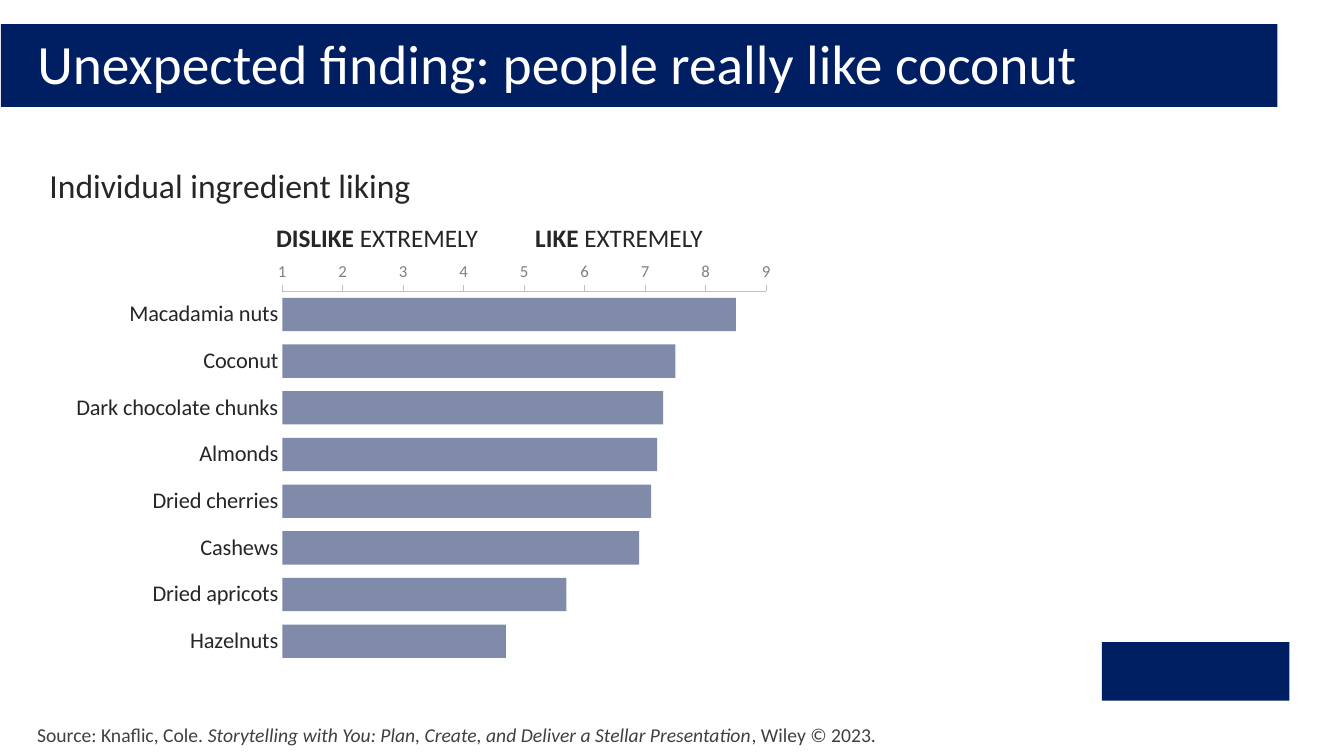
from dataclasses import dataclass

from lxml.etree import SubElement
from pptx import Presentation
from pptx.chart.chart import Chart
from pptx.chart.data import CategoryChartData
from pptx.dml.color import RGBColor
from pptx.enum.chart import XL_CHART_TYPE, XL_TICK_MARK
from pptx.enum.shapes import MSO_SHAPE
from pptx.enum.text import MSO_ANCHOR, MSO_AUTO_SIZE, PP_ALIGN
from pptx.oxml import parse_xml
from pptx.oxml.ns import nsdecls, qn
from pptx.shapes.autoshape import Shape
from pptx.slide import Slide
from pptx.text.text import Font
from pptx.util import Inches, Pt

NAVY = RGBColor(0x00, 0x1E, 0x62)
BAR_NAVY = RGBColor(0x00, 0x18, 0x55)
WHITE = RGBColor(0xFF, 0xFF, 0xFF)
INK = RGBColor(0x26, 0x26, 0x26)
SOURCE_GRAY = RGBColor(0x40, 0x40, 0x40)
SCALE_GRAY = RGBColor(0x80, 0x80, 0x80)
AXIS_GRAY = RGBColor(0xBF, 0xBF, 0xBF)

LIKING_SCORES = {
    "Macadamia nuts": 8.5,
    "Coconut": 7.5,
    "Dark chocolate chunks": 7.3,
    "Almonds": 7.2,
    "Dried cherries": 7.1,
    "Cashews": 6.9,
    "Dried apricots": 5.7,
    "Hazelnuts": 4.7,
}


@dataclass(frozen=True)
class Box:
    left: float
    top: float
    width: float
    height: float

    def lengths(self) -> tuple[Inches, ...]:
        return tuple(map(Inches, (self.left, self.top, self.width, self.height)))


@dataclass(frozen=True)
class TextStyle:
    size: float
    color: RGBColor


@dataclass(frozen=True)
class TextRun:
    text: str
    bold: bool = False
    italic: bool = False


@dataclass(frozen=True)
class Label:
    box: Box
    runs: tuple[TextRun, ...]
    style: TextStyle
    tab_stop: float | None = None


LABELS = (
    Label(
        Box(0.27, 7.12, 12.84, 0.34),
        (
            TextRun("Source: Knaflic, Cole. "),
            TextRun(
                "Storytelling with You: Plan, Create, and Deliver a Stellar Presentation",
                italic=True,
            ),
            TextRun(", Wiley © 2023."),
        ),
        TextStyle(14, SOURCE_GRAY),
    ),
    Label(
        Box(2.64, 2.16, 5.46, 0.4),
        (
            TextRun("DISLIKE", bold=True),
            TextRun(" EXTREMELY\t"),
            TextRun("LIKE", bold=True),
            TextRun(" EXTREMELY"),
        ),
        TextStyle(18, INK),
        tab_stop=2.57,
    ),
)


def format_font(font: Font, style: TextStyle, bold: bool = False, italic: bool = False) -> None:
    values = {"size": Pt(style.size), "name": "Calibri", "bold": bold, "italic": italic}
    for attribute, value in values.items():
        setattr(font, attribute, value)
    font.color.rgb = style.color


def add_block(slide: Slide, box: Box) -> Shape:
    block = slide.shapes.add_shape(MSO_SHAPE.RECTANGLE, *box.lengths())
    block.shadow.inherit = False
    block.fill.solid()
    block.fill.fore_color.rgb = NAVY
    block.line.fill.background()
    return block


def add_title(slide: Slide) -> None:
    title = slide.shapes.title
    title.left, title.top, title.width, title.height = Box(0.27, 0.33, 12.27, 0.66).lengths()
    frame = title.text_frame
    frame.text = "Unexpected finding: people really like coconut"
    frame.auto_size = MSO_AUTO_SIZE.NONE
    frame.vertical_anchor = MSO_ANCHOR.MIDDLE
    paragraph = frame.paragraphs[0]
    paragraph.alignment = PP_ALIGN.LEFT
    paragraph.line_spacing = 0.9
    format_font(paragraph.runs[0].font, TextStyle(39.6, WHITE))

    # Band behind the title
    band = add_block(slide, Box(0.01, 0.24, 12.66, 0.82))
    title.element.addprevious(band.element)


def add_label(slide: Slide, label: Label) -> None:
    text_box = slide.shapes.add_textbox(*label.box.lengths())
    frame = text_box.text_frame
    frame.word_wrap = True
    frame.auto_size = MSO_AUTO_SIZE.SHAPE_TO_FIT_TEXT
    paragraph = frame.paragraphs[0]
    paragraph.alignment = PP_ALIGN.LEFT
    if label.tab_stop is not None:
        tabs = SubElement(text_box.element.find(".//" + qn("a:pPr")), qn("a:tabLst"))
        tab = SubElement(tabs, qn("a:tab"))
        tab.set("pos", str(Inches(label.tab_stop)))
        tab.set("algn", "l")
    for text_run in label.runs:
        run = paragraph.add_run()
        run.text = text_run.text
        format_font(run.font, label.style, text_run.bold, text_run.italic)


def place_chart_part(chart: Chart, tag: str, index: int, position: dict[str, float]) -> None:
    part = chart.element.find(".//" + qn(tag))
    for previous in part.findall(qn("c:layout")):
        part.remove(previous)
    layout = parse_xml(f'<c:layout {nsdecls("c")}><c:manualLayout/></c:layout>')
    part.insert(index, layout)
    settings = {"xMode": "edge", "yMode": "edge", **position}
    if "w" in position:
        settings = {"layoutTarget": "inner", **settings}
    for name, value in settings.items():
        SubElement(layout[0], qn(f"c:{name}")).set("val", str(value))


def add_liking_chart(slide: Slide) -> None:
    data = CategoryChartData()
    data.categories = list(LIKING_SCORES)
    data.add_series("Series 1", list(LIKING_SCORES.values()))
    chart = slide.shapes.add_chart(
        XL_CHART_TYPE.BAR_CLUSTERED, *Box(0.43, 1.56, 7.36, 5.19).lengths(), data
    ).chart
    chart.has_legend = False
    chart.font.name, chart.font.size = "Calibri", Pt(10)

    # Chart title and plot position
    frame = chart.chart_title.text_frame
    frame.text = "Individual ingredient liking"
    format_font(frame.paragraphs[0].runs[0].font, TextStyle(24, INK))
    place_chart_part(chart, "c:title", 1, {"x": 0, "y": 0})
    place_chart_part(chart, "c:plotArea", 0, {"x": 0.322, "y": 0.256, "w": 0.652, "h": 0.714})

    # Axes
    categories, scale = chart.category_axis, chart.value_axis
    axis_formats = {
        categories: {"reverse_order": True, "major_tick_mark": XL_TICK_MARK.NONE},
        scale: {
            "minimum_scale": 1,
            "maximum_scale": 9,
            "major_unit": 1,
            "major_tick_mark": XL_TICK_MARK.OUTSIDE,
        },
    }
    for axis, values in axis_formats.items():
        values |= {"has_major_gridlines": False, "minor_tick_mark": XL_TICK_MARK.NONE}
        for attribute, value in values.items():
            setattr(axis, attribute, value)
    format_font(categories.tick_labels.font, TextStyle(16, INK))
    format_font(scale.tick_labels.font, TextStyle(12, SCALE_GRAY))
    categories.format.line.fill.background()
    scale.format.line.color.rgb = AXIS_GRAY
    scale.format.line.width = Pt(0.75)

    # Half-transparent bars
    plot = chart.plots[0]
    plot.gap_width = 40
    plot.vary_by_categories = False
    fill = plot.series[0].format.fill
    fill.solid()
    fill.fore_color.rgb = BAR_NAVY
    bar_color = chart.element.find(f".//{qn('c:ser')}//{qn('a:srgbClr')}")
    SubElement(bar_color, qn("a:alpha")).set("val", "50000")


def main() -> None:
    presentation = Presentation()
    presentation.slide_width, presentation.slide_height = Inches(13.33), Inches(7.5)
    slide = presentation.slides.add_slide(presentation.slide_layouts.get_by_name("Title Only"))
    add_title(slide)
    add_liking_chart(slide)
    for label in LABELS:
        add_label(slide, label)
    # Plain corner block
    add_block(slide, Box(10.93, 6.37, 1.86, 0.58))
    presentation.save("out.pptx")


if __name__ == "__main__":
    main()
